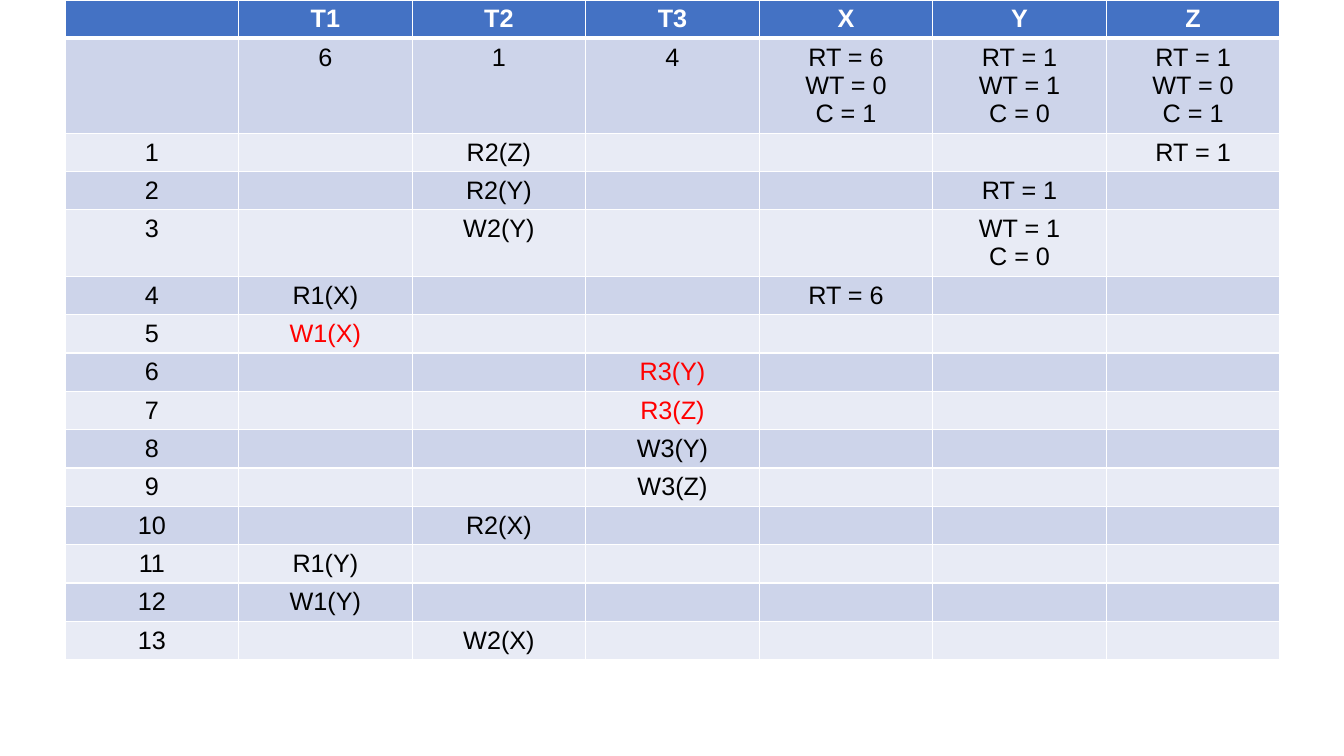
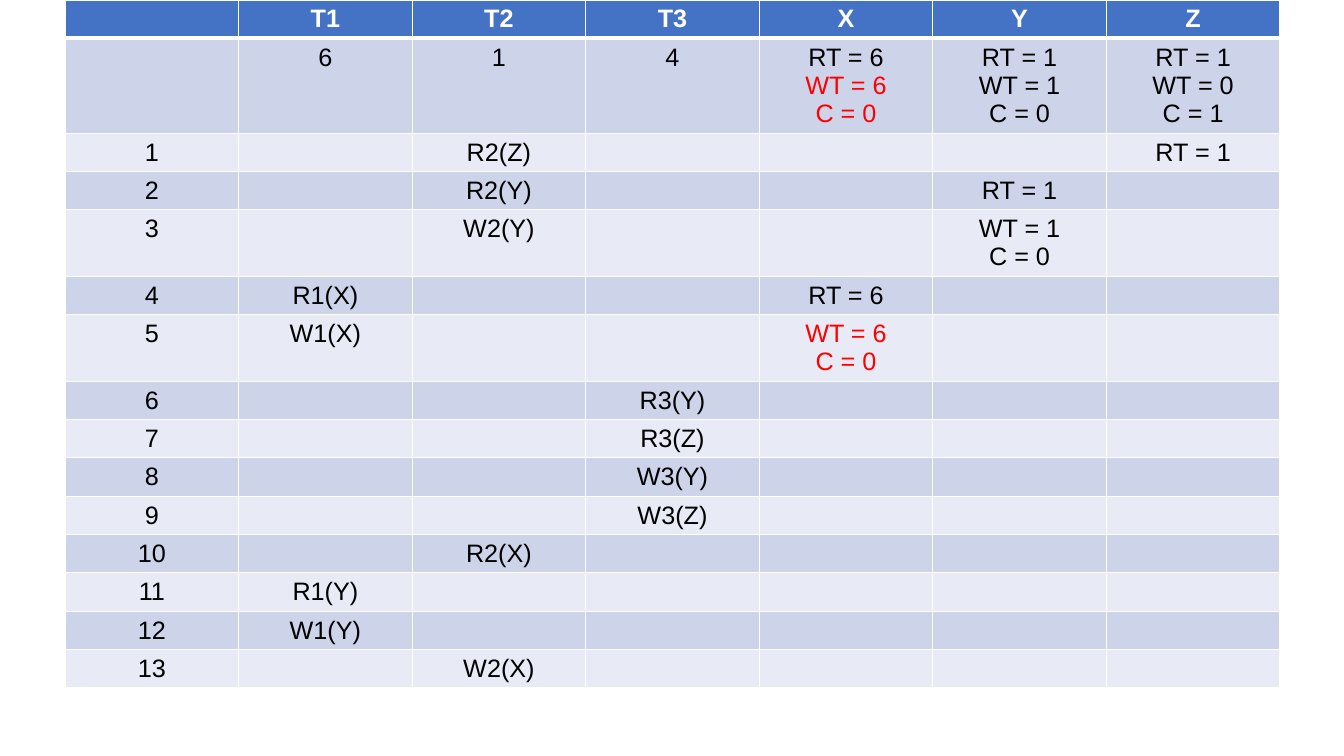
"""Build two slides that trace a timestamp-ordered schedule in a table."""
from dataclasses import dataclass

from lxml.etree import SubElement as Sub
from pptx import Presentation as Deck
from pptx.dml.color import RGBColor as Rgb
from pptx.enum.text import PP_ALIGN as Align
from pptx.oxml.ns import qn
from pptx.slide import Slide
from pptx.table import _Cell as Cell
from pptx.util import Emu, Pt

PX = 9525
LEFT, WIDE = 62, 1157
LINE, PAD = 27, 9

BLUE = Rgb(0x44, 0x72, 0xC4)
DARK = Rgb(0xCD, 0xD4, 0xEA)
PALE = Rgb(0xE8, 0xEB, 0xF5)
WHITE = Rgb(0xFF, 0xFF, 0xFF)
BLACK = Rgb(0x00, 0x00, 0x00)
RED = Rgb(0xFF, 0x00, 0x00)

FONT = {"name": "Arial", "size": Pt(18)}
HEADS = ("", "T1", "T2", "T3", "X", "Y", "Z")


@dataclass(frozen=True)
class Step:
    """One operation, with the item it updates and the new values."""
    txn: str
    op: str
    item: str = ""
    note: str = ""


@dataclass(frozen=True)
class Trace:
    """One slide: state of X, note of step 5, first red line per cell."""
    state: str
    note: str
    reds: dict[tuple[int, str], int]


TRACES = (
    Trace("RT = 6\nWT = 0\nC = 1", "",
          {(6, "T1"): 0, (7, "T3"): 0, (8, "T3"): 0}),
    Trace("RT = 6\nWT = 6\nC = 0", "WT = 6\nC = 0",
          {(1, "X"): 1, (6, "X"): 0}),
)


def steps(trace: Trace) -> list[Step]:
    """List the schedule in order."""
    return [
        Step("T2", "R2(Z)", "Z", "RT = 1"),
        Step("T2", "R2(Y)", "Y", "RT = 1"),
        Step("T2", "W2(Y)", "Y", "WT = 1\nC = 0"),
        Step("T1", "R1(X)", "X", "RT = 6"),
        Step("T1", "W1(X)", "X", trace.note),
        Step("T3", "R3(Y)"),
        Step("T3", "R3(Z)"),
        Step("T3", "W3(Y)"),
        Step("T3", "W3(Z)"),
        Step("T2", "R2(X)"),
        Step("T1", "R1(Y)"),
        Step("T1", "W1(Y)"),
        Step("T2", "W2(X)"),
    ]


def grid(trace: Trace) -> list[dict[str, str]]:
    """Give the text of each row, keyed by column head."""
    state = {"T1": "6", "T2": "1", "T3": "4", "X": trace.state,
             "Y": "RT = 1\nWT = 1\nC = 0", "Z": "RT = 1\nWT = 0\nC = 1"}
    body = [{"": str(num), step.txn: step.op}
            | ({step.item: step.note} if step.item else {})
            for num, step in enumerate(steps(trace), 1)]
    return [{head: head for head in HEADS}, state, *body]


def edge(cell: Cell, row: int) -> None:
    """Draw white borders, thick below the header row."""
    props = cell._tc.get_or_add_tcPr()
    thick = {"lnT": row == 1, "lnB": row == 0}
    for side in ("lnL", "lnR", "lnT", "lnB"):
        width = Pt(3 if thick.get(side) else 1)
        line = Sub(props, qn(f"a:{side}"), w=str(width))
        Sub(Sub(line, qn("a:solidFill")), qn("a:srgbClr"), val=str(WHITE))


def fill(cell: Cell, row: int, text: str, start: int | None) -> None:
    """Format one cell and write its lines, red from the start line on."""
    edge(cell, row)
    cell.fill.solid()
    cell.fill.fore_color.rgb = BLUE if row == 0 else DARK if row % 2 else PALE
    cell.text = text
    base = BLACK if row else WHITE
    for num, para in enumerate(cell.text_frame.paragraphs):
        para.alignment = Align.CENTER
        font = para.runs[0].font if para.runs else para.font
        for key, value in (FONT | {"bold": row == 0}).items():
            setattr(font, key, value)
        font.color.rgb = RED if start is not None and num >= start else base


def draw(slide: Slide, trace: Trace) -> None:
    """Add the schedule table to a slide."""
    rows = grid(trace)
    highs = [PAD + LINE * max(text.count("\n") + 1 for text in row.values())
             for row in rows]
    table = slide.shapes.add_table(
        len(rows), len(HEADS), Emu(LEFT * PX), Emu(0),
        Emu(WIDE * PX), Emu(sum(highs) * PX)).table
    for col in table.columns:
        col.width = Emu(WIDE * PX // len(HEADS))
    for row, (texts, high) in enumerate(zip(rows, highs)):
        table.rows[row].height = Emu(high * PX)
        for col, head in enumerate(HEADS):
            fill(table.cell(row, col), row, texts.get(head, ""),
                 trace.reds.get((row, head)))


def main() -> None:
    """Build and save the deck."""
    deck = Deck()
    deck.slide_width, deck.slide_height = Emu(1280 * PX), Emu(720 * PX)
    for trace in TRACES:
        draw(deck.slides.add_slide(deck.slide_layouts[6]), trace)
    deck.save("out.pptx")


if __name__ == "__main__":
    main()
